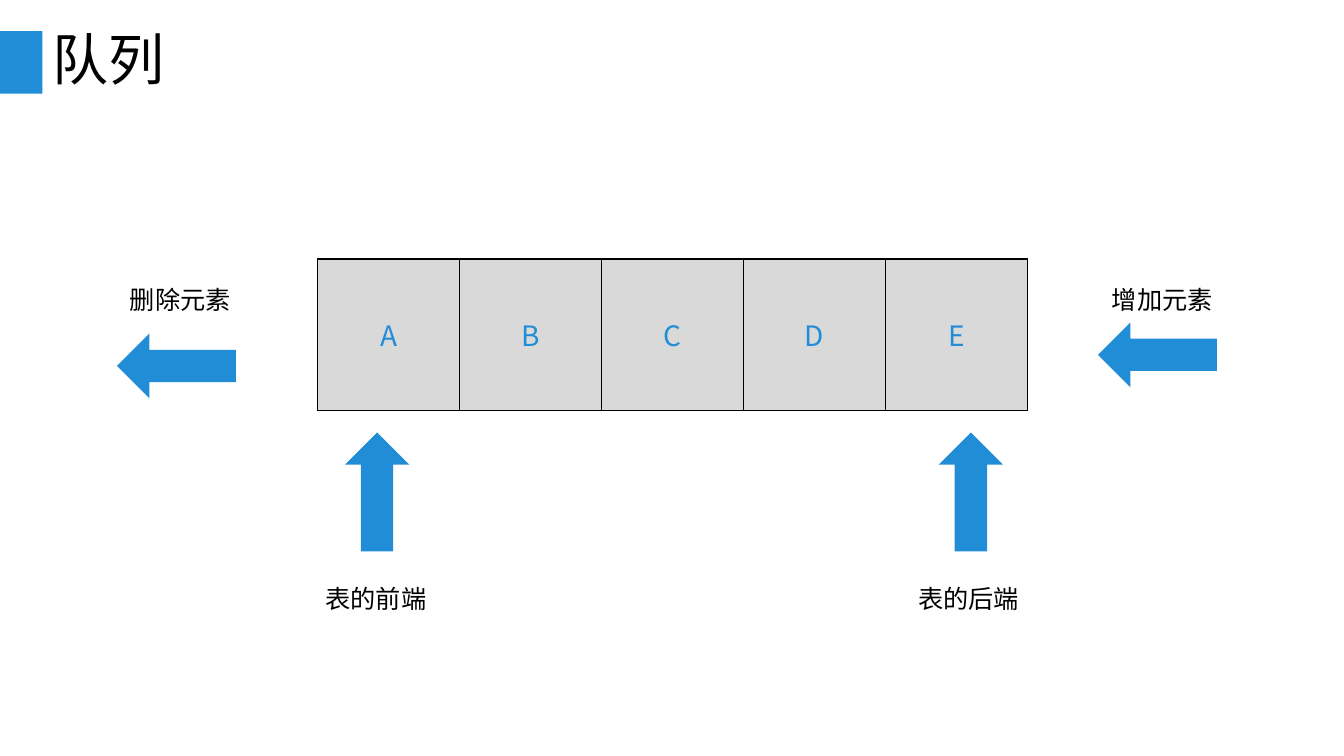
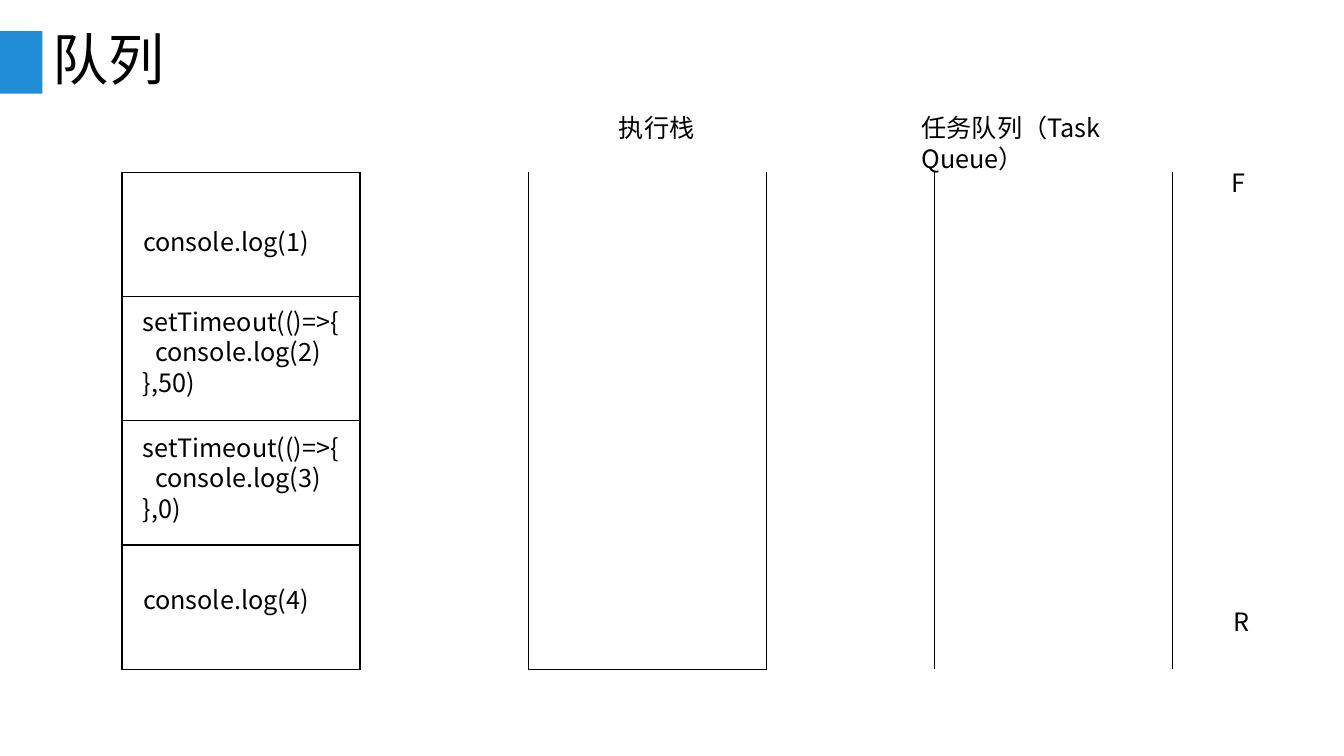
from lxml import etree
from pptx import Presentation
from pptx.dml.color import RGBColor
from pptx.enum.shapes import MSO_SHAPE
from pptx.enum.text import MSO_ANCHOR, MSO_AUTO_SIZE, PP_ALIGN
from pptx.oxml.ns import qn
from pptx.util import Inches, Pt

RECT = MSO_SHAPE.RECTANGLE
ARROW = MSO_SHAPE.RIGHT_ARROW
MIDDLE = MSO_ANCHOR.MIDDLE
LEFT = PP_ALIGN.LEFT
CENTER = PP_ALIGN.CENTER
GROW = MSO_AUTO_SIZE.SHAPE_TO_FIT_TEXT
FIXED = MSO_AUTO_SIZE.NONE

FONT = "Noto Sans CJK SC"
BLUE = "218DD6"
BLACK = "000000"
WHITE = "FFFFFF"
GRAY = "D9D9D9"


def color(code):
    """Turn a hex string into a colour."""
    return RGBColor.from_string(code)


def border(cell, sides):
    """Draw a black line on the named sides (L, R, T, B) of a cell."""
    props = cell._tc.get_or_add_tcPr()
    for side in "LRTB":
        line = etree.SubElement(props, qn("a:ln" + side), w=str(Pt(1)))
        if side in sides:
            fill = etree.SubElement(line, qn("a:solidFill"))
            etree.SubElement(fill, qn("a:srgbClr"), val=BLACK)
        else:
            etree.SubElement(line, qn("a:noFill"))


class Deck:
    """Holds the style and the current slide."""

    def __init__(self):
        """Start a wide presentation."""
        self.show = Presentation()
        self.show.slide_width = Inches(13.33)
        self.show.slide_height = Inches(7.5)
        self.slide = None

    def style(self, para, size, code=BLACK):
        """Format every run of a paragraph."""
        for run in para.runs:
            run.font.size = Pt(size)
            run.font.name = FONT
            run.font.color.rgb = color(code)
            props = run._r.get_or_add_rPr()
            etree.SubElement(props, qn("a:ea"), typeface=FONT)

    def page(self, title):
        """Add a slide with the blue band and its title."""
        self.slide = self.show.slides.add_slide(self.show.slide_layouts[5])
        self.shape(RECT, 0, 0.31, 0.42, 0.62)
        box = self.slide.shapes.title
        box.left, box.top = Inches(0.42), Inches(0.3)
        box.width, box.height = Inches(12.5), Inches(0.64)
        frame = box.text_frame
        frame.text = title
        frame.auto_size = FIXED
        frame.vertical_anchor = MIDDLE
        para = frame.paragraphs[0]
        para.alignment = LEFT
        para.line_spacing = 0.9
        self.style(para, 40)

    def shape(self, kind, left, top, width, height, turn=0):
        """Add a plain blue shape."""
        item = self.slide.shapes.add_shape(
            kind, Inches(left), Inches(top), Inches(width), Inches(height))
        item.rotation = turn
        item.shadow.inherit = False
        item.fill.solid()
        item.fill.fore_color.rgb = color(BLUE)
        item.line.fill.background()

    def arrow(self, left, top, turn):
        """Add an arrow turned by some degrees."""
        self.shape(ARROW, left, top, 1.18, 0.64, turn)

    def text(self, lines, left, top, width, wrap=False, right=0.1):
        """Add a text box; lines that start with a tab are indented."""
        height = 0.4 + 0.305 * (len(lines) - 1)
        box = self.slide.shapes.add_textbox(
            Inches(left), Inches(top), Inches(width), Inches(height))
        frame = box.text_frame
        frame.word_wrap = wrap
        frame.auto_size = GROW
        frame.margin_right = Inches(right)
        for i, line in enumerate(lines):
            para = frame.add_paragraph() if i else frame.paragraphs[0]
            para.text = line.lstrip("\t")
            if line.startswith("\t"):
                para._p.get_or_add_pPr().set("marL", str(Inches(0.12)))
            self.style(para, 18)

    def table(self, rows, left, top, width, height, sides="LRTB", fill=WHITE):
        """Add a table with equal cells and lines on the given sides."""
        count, span = len(rows), len(rows[0])
        grid = self.slide.shapes.add_table(
            count, span, Inches(left), Inches(top),
            Inches(width), Inches(height)).table
        grid.first_row = grid.horz_banding = False
        for col in grid.columns:
            col.width = Inches(width / span)
        for row, words in zip(grid.rows, rows):
            row.height = Inches(height / count)
            for cell, word in zip(row.cells, words):
                border(cell, sides)
                cell.fill.solid()
                cell.fill.fore_color.rgb = color(fill)
                cell.vertical_anchor = MIDDLE
                if word:
                    cell.text_frame.text = word
                    para = cell.text_frame.paragraphs[0]
                    para.alignment = CENTER
                    self.style(para, 20, BLUE)


def queue(deck):
    """Build the slide on how a queue works."""
    deck.page("队列")
    deck.table([list("ABCDE")], 3.15, 2.57, 7.04, 1.5, fill=GRAY)
    for left, top, turn in ((1.16, 3.31, 180), (10.89, 3.2, 180),
                            (3.15, 4.56, 270), (9.04, 4.56, 270)):
        deck.arrow(left, top, turn)
    for label, left, top in (("删除元素", 1.19, 2.77), ("增加元素", 10.93, 2.77),
                             ("表的前端", 3.13, 5.74), ("表的后端", 9.01, 5.74)):
        deck.text([label], left, top, 1.21)


def tasks(deck):
    """Build the slide on the call stack and the task queue."""
    deck.page("队列")
    for left, count, sides in ((5.24, 1, "LRB"), (9.27, 1, "LR"),
                               (1.21, 4, "LRTB")):
        deck.table([[""]] * count, left, 1.71, 2.36, 4.93, sides)
    for num, top in ((1, 2.2), (4, 5.75)):
        deck.text([f"console.log({num})"], 1.32, top, 1.98, True)
    for num, delay, top in ((2, 50, 2.99), (3, 0, 4.24)):
        code = ["setTimeout(()=>{", f"\tconsole.log({num})", f"}},{delay})"]
        deck.text(code, 1.32, top, 2.2, True)
    deck.text(["执行栈"], 6.04, 1.07, 0.96)
    deck.text(["任务队列（Task Queue）"], 9.04, 1.07, 3.11, True, 0.8)
    deck.text(["F"], 12.12, 1.61, 0.35)
    deck.text(["R"], 12.14, 5.97, 0.37)


deck = Deck()
queue(deck)
tasks(deck)
deck.show.save("out.pptx")
